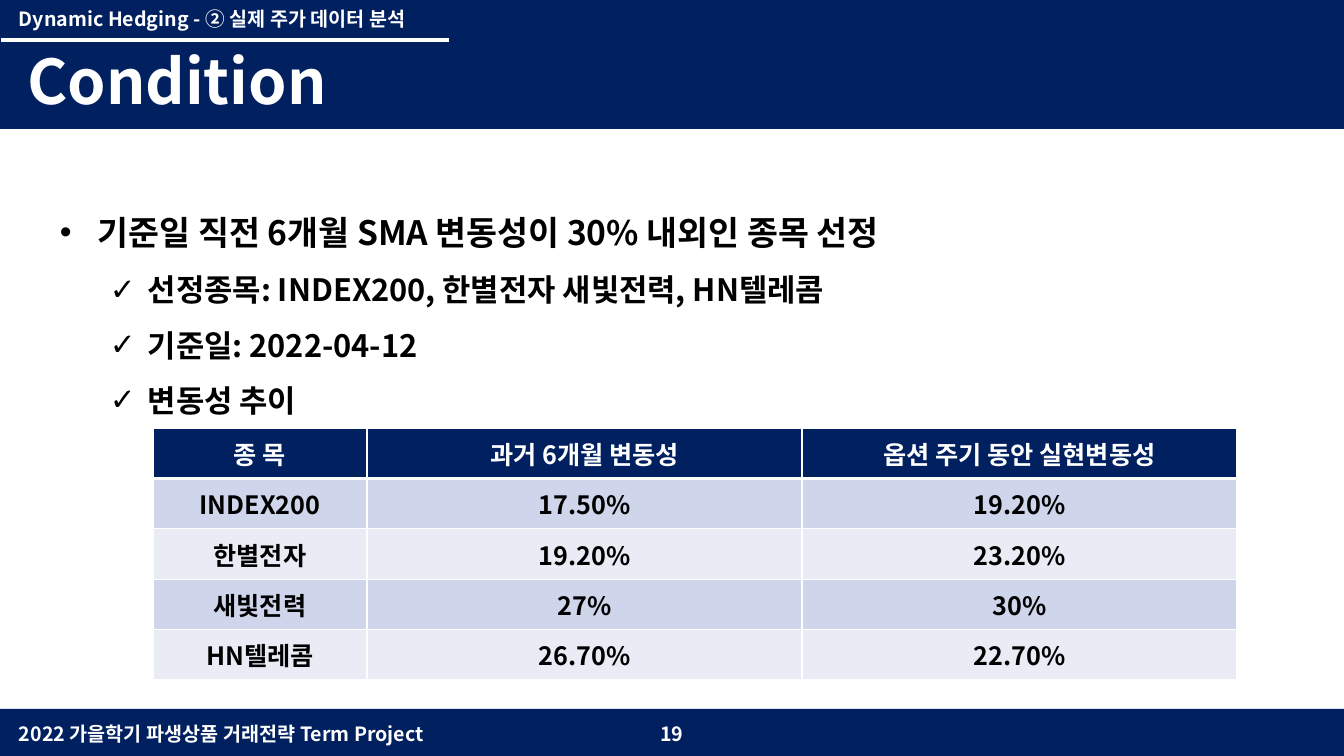
"""Build the volatility condition slide with its table of stocks."""
from lxml import etree
from pptx import Presentation
from pptx.dml.color import RGBColor
from pptx.enum.shapes import MSO_CONNECTOR, MSO_SHAPE
from pptx.enum.text import MSO_ANCHOR, MSO_AUTO_SIZE, PP_ALIGN
from pptx.oxml.ns import qn
from pptx.util import Pt

RECT = MSO_SHAPE.RECTANGLE
LINE = MSO_CONNECTOR.STRAIGHT
TOP, MID = MSO_ANCHOR.TOP, MSO_ANCHOR.MIDDLE
LEFT, CENTER = PP_ALIGN.LEFT, PP_ALIGN.CENTER
FIXED = MSO_AUTO_SIZE.NONE

FONT = "Noto Sans CJK KR"
HUES = {"navy": "002060", "white": "FFFFFF", "black": "000000",
        "odd": "CFD5EA", "even": "E9EBF5"}
TITLE = ("Condition", (17, 38, 601, 85))
BANDS = [(0, 709, 1344, 50), (0, 0, 1344, 129)]
LABELS = [
    ("19", (583, 714, 178, 40), MID, CENTER),
    ("2022 가을학기 파생상품 거래전략 Term Project", (9, 714, 460, 40), MID, LEFT),
    ("Dynamic Hedging - ② 실제 주가 데이터 분석", (9, 2, 896, 34), TOP, LEFT),
]
RULE = (1, 40, 449, 40)
BODY = (50, 167, 1306, 252)
POINTS = [
    (0, "기준일 직전 6개월 SMA 변동성이 30% 내외인 종목 선정"),
    (1, "선정종목: INDEX200, 한별전자 새빛전력, HN텔레콤"),
    (1, "기준일: 2022-04-12"),
    (1, "변동성 추이"),
]
LEVELS = [("•", 38, 24, 2.0), ("✓", 88, 22, 1.5)]
HANG = 38
GRID = (153, 428, 1084, 252)
COLS = [214, 435, 435]
ROWS = [
    ("종 목", "과거 6개월 변동성", "옵션 주기 동안 실현변동성"),
    ("INDEX200", "17.50%", "19.20%"),
    ("한별전자", "19.20%", "23.20%"),
    ("새빛전력", "27%", "30%"),
    ("HN텔레콤", "26.70%", "22.70%"),
]


def px(n):
    return round(n * 914400 / 100.8)


def box(spot):
    return [px(n) for n in spot]


def hue(name):
    return RGBColor.from_string(HUES[name])


def paint(shape, name):
    shape.fill.solid()
    shape.fill.fore_color.rgb = hue(name)


def style(para, size, name, align=LEFT):
    para.alignment = align
    for run in para.runs:
        font = run.font
        font.size, font.bold, font.name = Pt(size), True, FONT
        font.color.rgb = hue(name)
        etree.SubElement(font._element, qn("a:ea"), typeface=FONT)


def bullet(para, mark, left):
    props = para._p.get_or_add_pPr()
    props.set("marL", str(px(left)))
    props.set("indent", str(-px(HANG)))
    etree.SubElement(props, qn("a:buFont"), typeface="Arial")
    etree.SubElement(props, qn("a:buChar"), char=mark)


def border(cell, base):
    props = cell._tc.get_or_add_tcPr()
    sides = [("lnL", 1), ("lnR", 1), ("lnT", 1), ("lnB", base)]
    for spot, (side, wide) in enumerate(sides):
        edge = etree.Element(qn("a:" + side), w=str(Pt(wide)))
        fill = etree.SubElement(edge, qn("a:solidFill"))
        etree.SubElement(fill, qn("a:srgbClr"), val=HUES["white"])
        props.insert(spot, edge)


def add_bands(shapes):
    for spot in BANDS:
        band = shapes.add_shape(RECT, *box(spot))
        paint(band, "navy")
        band.line.fill.background()
        band.shadow.inherit = False


def add_title(shapes):
    title = shapes.title
    title.element.getparent().append(title.element)
    text, spot = TITLE
    title.left, title.top, title.width, title.height = box(spot)
    frame = title.text_frame
    frame.text = text
    frame.auto_size, frame.vertical_anchor = FIXED, TOP
    frame.paragraphs[0].line_spacing = 1.0
    style(frame.paragraphs[0], 44, "white")


def add_labels(shapes):
    for text, spot, anchor, align in LABELS:
        frame = shapes.add_textbox(*box(spot)).text_frame
        frame.word_wrap = True
        frame.vertical_anchor = anchor
        frame.text = text
        style(frame.paragraphs[0], 14, "white", align)


def add_rule(shapes):
    rule = shapes.add_connector(LINE, *box(RULE))
    rule.line.color.rgb = hue("white")
    rule.line.width = Pt(2.75)
    etree.SubElement(rule._element.spPr, qn("a:effectLst"))


def add_body(shapes):
    frame = shapes.add_textbox(*box(BODY)).text_frame
    frame.word_wrap = True
    frame.text = "\n".join(text for _, text in POINTS)
    for para, (level, _) in zip(frame.paragraphs, POINTS):
        mark, left, size, space = LEVELS[level]
        bullet(para, mark, left)
        para.level = level
        para.line_spacing = space
        style(para, size, "black")


def add_grid(shapes):
    table = shapes.add_table(len(ROWS), len(COLS), *box(GRID)).table
    for col, wide in zip(table.columns, COLS):
        col.width = px(wide)
    for r, row in enumerate(ROWS):
        back = "navy" if r == 0 else "odd" if r % 2 else "even"
        for c, text in enumerate(row):
            cell = table.cell(r, c)
            cell.text = text
            cell.vertical_anchor = MID
            paint(cell, back)
            border(cell, 1 if r else 3)
            style(cell.text_frame.paragraphs[0], 18,
                  "black" if r else "white", CENTER)


def main():
    deck = Presentation()
    deck.slide_width, deck.slide_height = px(1344), px(756)
    shapes = deck.slides.add_slide(deck.slide_layouts[5]).shapes
    for add in (add_bands, add_title, add_labels, add_rule, add_body, add_grid):
        add(shapes)
    deck.save("out.pptx")


if __name__ == "__main__":
    main()
